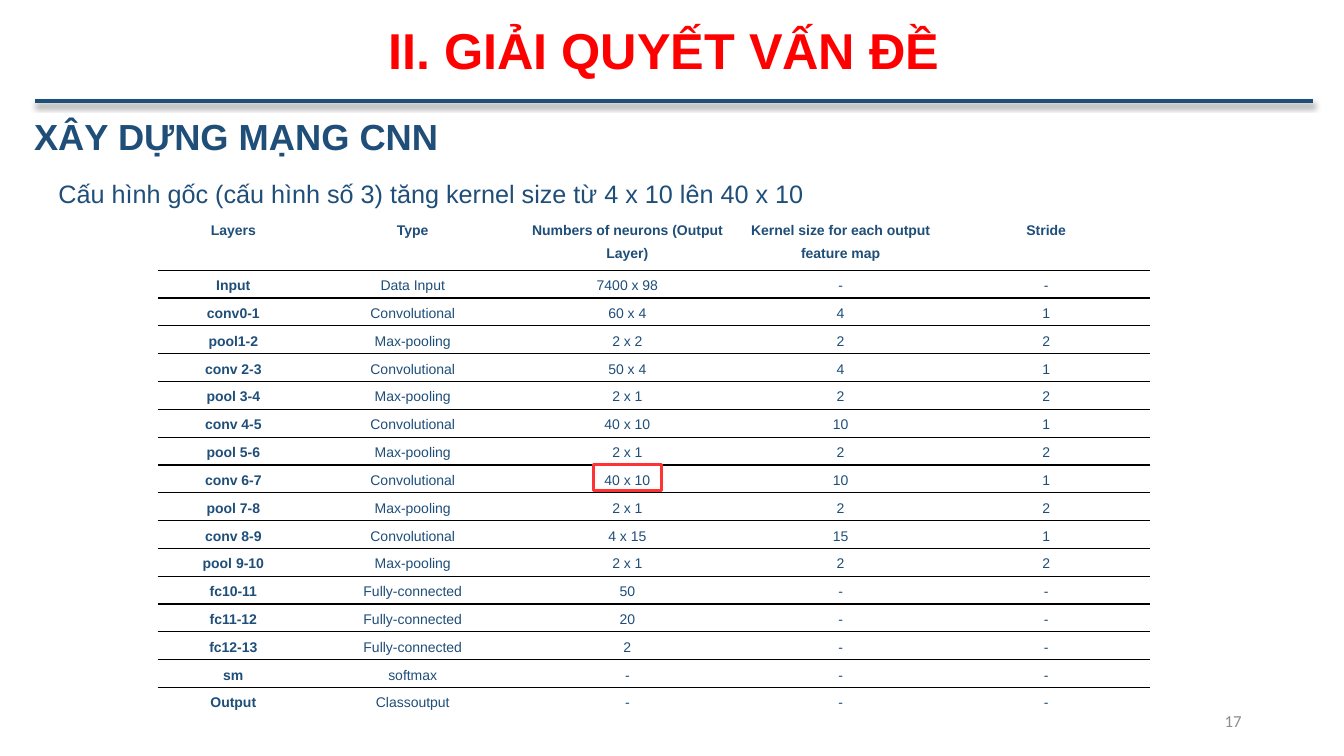
from pptx import Presentation
from pptx.util import Pt
from pptx.dml.color import RGBColor
from pptx.enum.shapes import MSO_CONNECTOR, MSO_SHAPE
from pptx.enum.text import MSO_ANCHOR, PP_ALIGN
from pptx.oxml import parse_xml
from pptx.oxml.ns import nsdecls

NAVY, RED, BLACK, WHITE = "1F4E79", "FF0000", "000000", "FFFFFF"


def rgb(value):
    return RGBColor.from_string(value)


def write(tf, text, size, color=NAVY, bold=False, align=PP_ALIGN.LEFT, font="Arial"):
    tf.word_wrap = True
    p = tf.paragraphs[0]
    p.text = text
    p.alignment = align
    f = p.runs[0].font
    f.name, f.size, f.bold = font, Pt(size), bold
    f.color.rgb = rgb(color)
    return p


prs = Presentation()
prs.slide_width, prs.slide_height = Pt(960), Pt(540)
s = prs.slides.add_slide(prs.slide_layouts[6])

# Slide number
tf = s.shapes.add_textbox(Pt(678), Pt(500.4), Pt(216), Pt(28.8)).text_frame
tf.vertical_anchor = MSO_ANCHOR.MIDDLE
write(tf, "17", 12, "8C8C8C", align=PP_ALIGN.RIGHT, font="Calibri")

# Rule under the title, with a soft shadow
rule = s.shapes.add_connector(MSO_CONNECTOR.STRAIGHT, Pt(25.2), Pt(72), Pt(938.2), Pt(72))
rule.line.color.rgb = rgb(NAVY)
rule.line.width = Pt(3)
rule._element.spPr.append(parse_xml(
    f'<a:effectLst {nsdecls("a")}><a:outerShdw blurRad="{Pt(4)}" dist="{Pt(3)}" '
    f'dir="5400000" rotWithShape="0"><a:srgbClr val="{BLACK}"><a:alpha val="40000"/>'
    '</a:srgbClr></a:outerShdw></a:effectLst>'))

# Title
tf = s.shapes.add_textbox(Pt(127.4), Pt(14.4), Pt(694), Pt(46.8)).text_frame
tf.vertical_anchor = MSO_ANCHOR.MIDDLE
p = write(tf, "II. GIẢI QUYẾT VẤN ĐỀ", 36, RED, True, PP_ALIGN.CENTER)
p.line_spacing = 0.9

# Section heading
tf = s.shapes.add_textbox(Pt(17.3), Pt(72), Pt(828), Pt(52.6)).text_frame
p = write(tf, "XÂY DỰNG MẠNG CNN", 25.9, bold=True)
p.line_spacing = 1.2
p.space_before = Pt(8)

# Layer table
rows = [
    ("Layers", "Type", "Numbers of neurons (Output Layer)",
     "Kernel size for each output feature map", "Stride"),
    ("Input", "Data Input", "7400 x 98", "-", "-"),
    ("conv0-1", "Convolutional", "60 x 4", "4", "1"),
    ("pool1-2", "Max-pooling", "2 x 2", "2", "2"),
    ("conv 2-3", "Convolutional", "50 x 4", "4", "1"),
    ("pool 3-4", "Max-pooling", "2 x 1", "2", "2"),
    ("conv 4-5", "Convolutional", "40 x 10", "10", "1"),
    ("pool 5-6", "Max-pooling", "2 x 1", "2", "2"),
    ("conv 6-7", "Convolutional", "40 x 10", "10", "1"),
    ("pool 7-8", "Max-pooling", "2 x 1", "2", "2"),
    ("conv 8-9", "Convolutional", "4 x 15", "15", "1"),
    ("pool 9-10", "Max-pooling", "2 x 1", "2", "2"),
    ("fc10-11", "Fully-connected", "50", "-", "-"),
    ("fc11-12", "Fully-connected", "20", "-", "-"),
    ("fc12-13", "Fully-connected", "2", "-", "-"),
    ("sm", "softmax", "-", "-", "-"),
    ("Output", "Classoutput", "-", "-", "-"),
]
col_widths = [107.3, 149, 157.7, 146.9, 146.9]
last = len(rows) - 1
table = s.shapes.add_table(len(rows), len(col_widths), Pt(113), Pt(153.4),
                           Pt(sum(col_widths)), Pt(357.8)).table
table.first_row = table.horz_banding = False
for col, width in zip(table.columns, col_widths):
    col.width = Pt(width)
for i, row in enumerate(rows):
    table.rows[i].height = Pt(19.89 if i else 39.6)
    for j, text in enumerate(row):
        cell = table.cell(i, j)
        cell.margin_left = cell.margin_right = Pt(5)
        cell.margin_top = cell.margin_bottom = 0
        p = write(cell.text_frame, text, 10, bold=i == 0 or j == 0, align=PP_ALIGN.CENTER)
        p.line_spacing = 1.5
        borders = {"lnL": WHITE, "lnR": WHITE,
                   "lnT": BLACK if i > 0 else WHITE,
                   "lnB": BLACK if i < last else WHITE}
        for side, color in borders.items():
            cell._tc.get_or_add_tcPr().append(parse_xml(
                f'<a:{side} {nsdecls("a")} w="{Pt(1)}"><a:solidFill>'
                f'<a:srgbClr val="{color}"/></a:solidFill></a:{side}>'))
        cell.fill.background()

# Caption above the table
tf = s.shapes.add_textbox(Pt(34.6), Pt(123.8), Pt(623.5), Pt(28.8)).text_frame
write(tf, "Cấu hình gốc (cấu hình số 3) tăng kernel size từ 4 x 10 lên 40 x 10", 18)

# Frame around the changed value
sp = s.shapes.add_shape(MSO_SHAPE.RECTANGLE, Pt(424.1), Pt(332), Pt(48.2), Pt(18.7))
sp.shadow.inherit = False
sp.fill.background()
sp.line.color.rgb = rgb("FF3333")
sp.line.width = Pt(2)

prs.save("out.pptx")
